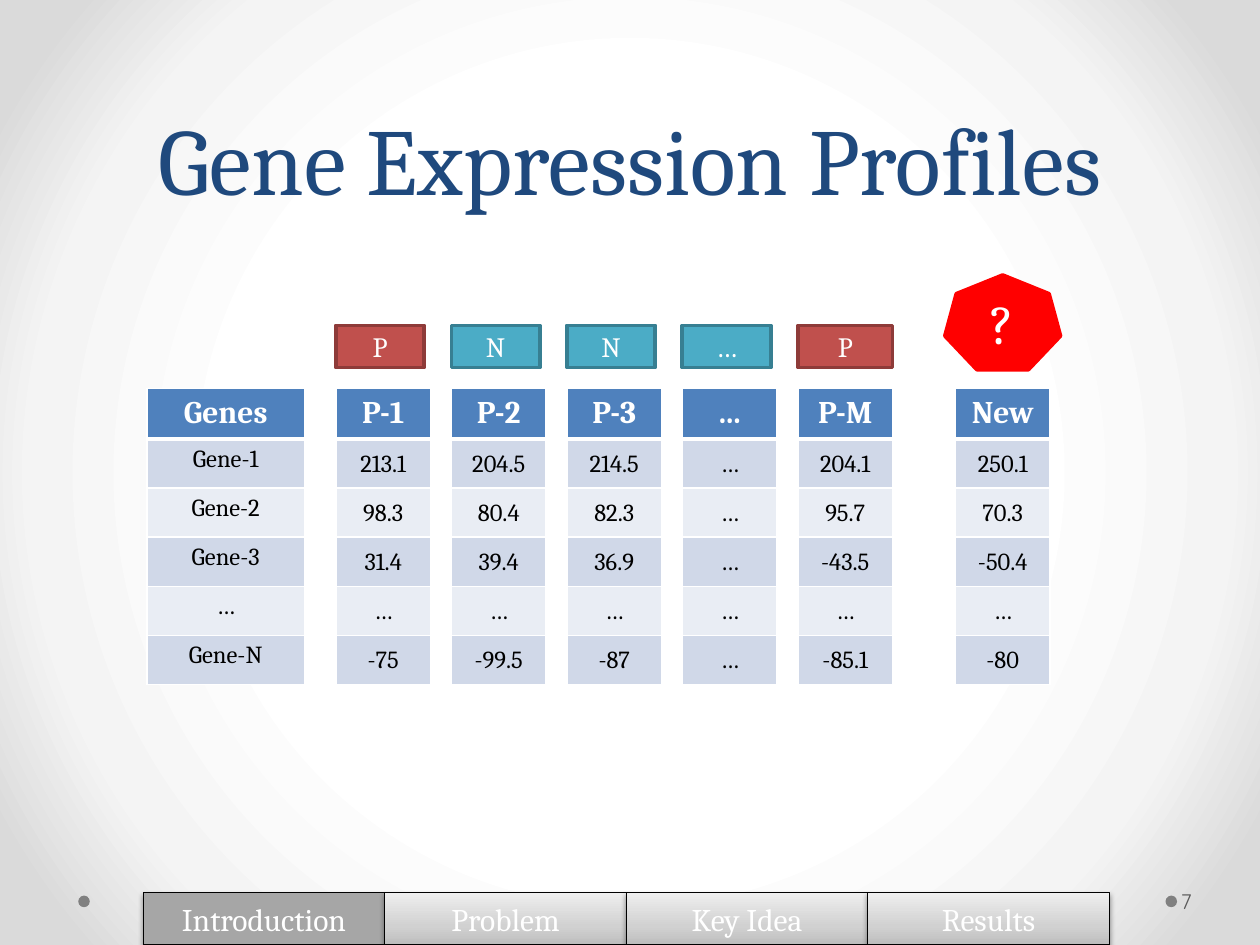
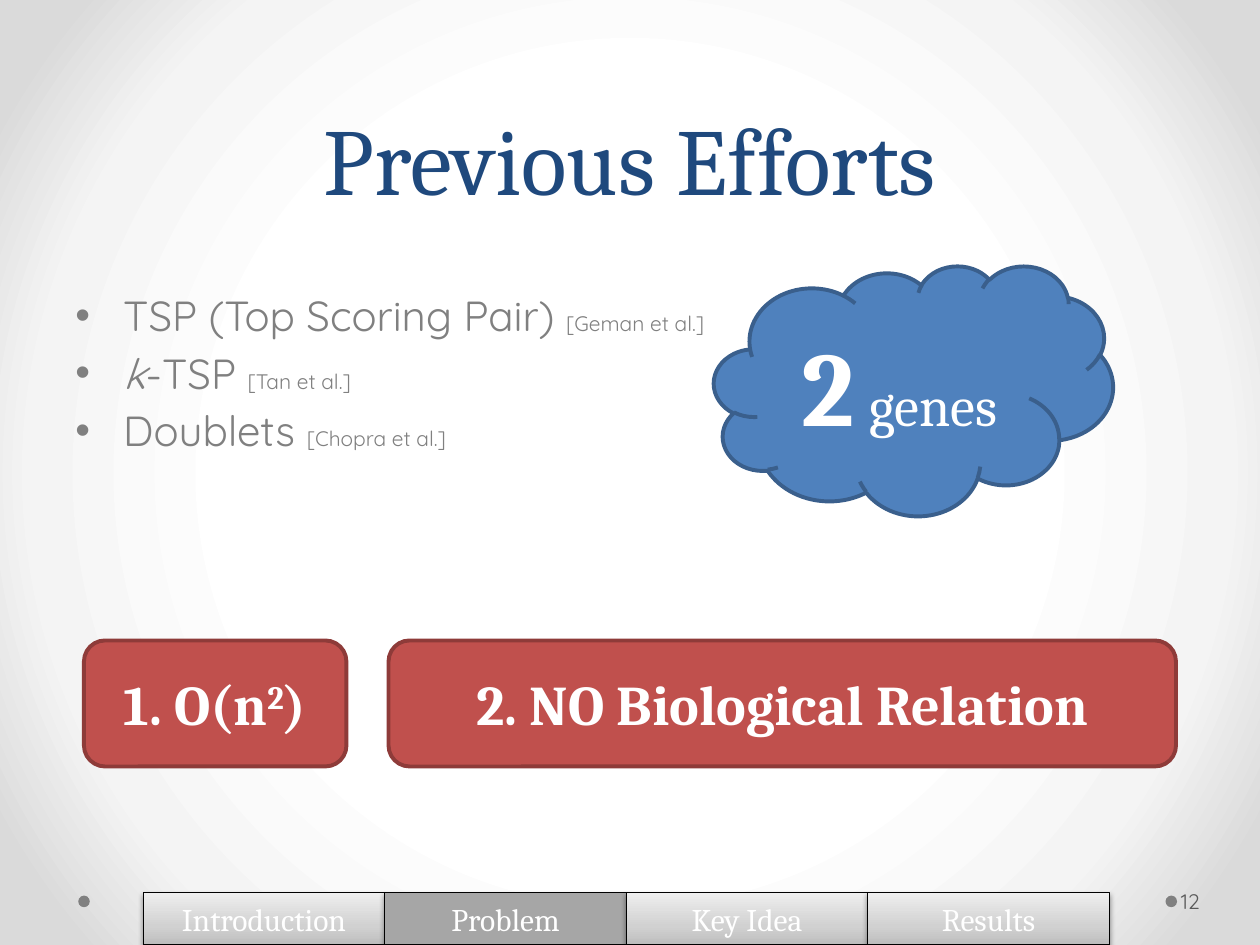
from lxml import etree
from pptx import Presentation
from pptx import util as u
from pptx.dml.color import RGBColor
from pptx.enum import shapes, text
from pptx.oxml import ns

SERIF, SANS = "Cambria", "Quicksand"
WHITE, BLACK, NAVY, GREY = "FFFFFF", "000000", "1F497D", "808080"
BLUE, DARK_BLUE = "4F81BD", "3A5F8C"
RED, DARK_RED = "C0504D", "8E3B39"
TEAL, DARK_TEAL = "4BACC6", "377F92"
BAND_COLOURS = ("E9EDF4", "D0D8E8")
BACKGROUND_STOPS = ((50, WHITE), (76, "F4F4F4"), (92, "DADADA"))
TAB_STOPS = ((0, "BDBDBD"), (35, "D1D1D1"), (100, "EEEEEE"))
SECTIONS = ("Introduction", "Problem", "Key Idea", "Results")
LABEL_COLOURS = {"P": (RED, DARK_RED), "N": (TEAL, DARK_TEAL), "…": (TEAL, DARK_TEAL)}
SHAPE, ALIGN, ANCHOR = shapes.MSO_SHAPE, text.PP_ALIGN, text.MSO_ANCHOR

GENES = ("Genes", "Gene-1", "Gene-2", "Gene-3", "…", "Gene-N")
# Class label, then the column of expression values
PATIENTS = (
    ("P", ("P-1", "213.1", "98.3", "31.4", "…", "-75")),
    ("N", ("P-2", "204.5", "80.4", "39.4", "…", "-99.5")),
    ("N", ("P-3", "214.5", "82.3", "36.9", "…", "-87")),
    ("…", ("…",) * 6),
    ("P", ("P-M", "204.1", "95.7", "-43.5", "…", "-85.1")),
)
NEW_PATIENT = ("New", "250.1", "70.3", "-50.4", "…", "-80")


def grid(*cells):
    """Lengths on a grid of 120 columns by 90 rows, twelve to the inch."""
    return [u.Inches(cell / 12) for cell in cells]


def colour(value):
    return RGBColor.from_string(value)


def add_xml(parent, tag, **attributes):
    return etree.SubElement(parent, ns.qn(tag), attributes)


# Text
def style(font, size, fill, name=SERIF, bold=False, italic=False):
    font.size, font.name, font.bold, font.italic = u.Pt(size), name, bold, italic
    font.color.rgb = colour(fill)


def write(paragraph, parts, align=ALIGN.CENTER, **base):
    """Fill a paragraph from a string, or from (string, overrides) pairs."""
    paragraph.alignment = align
    for words, changes in [(parts, {})] if isinstance(parts, str) else parts:
        run = paragraph.add_run()
        run.text = words
        changes = dict(changes)
        baseline = changes.pop("baseline", None)
        style(run.font, **{**base, **changes})
        if baseline:
            run._r.get_or_add_rPr().set("baseline", str(baseline * 1000))


def add_text_box(slide, place, anchor=ANCHOR.TOP):
    frame = slide.shapes.add_textbox(*grid(*place)).text_frame
    frame.word_wrap = True
    frame.vertical_anchor = anchor
    return frame


def add_title(slide, words):
    frame = add_text_box(slide, (6, 0, 108, 21), ANCHOR.BOTTOM)
    write(frame.paragraphs[0], words, size=54, fill=NAVY)
    frame.paragraphs[0].line_spacing = u.Pt(58)


def add_bullets(slide, place, items):
    frame = add_text_box(slide, place)
    for index, item in enumerate(items):
        paragraph = frame.add_paragraph() if index else frame.paragraphs[0]
        properties = paragraph._p.get_or_add_pPr()
        properties.set("marL", str(u.Inches(0.38)))
        properties.set("indent", str(-u.Inches(0.38)))
        add_xml(properties, "a:buFont", typeface="Arial")
        add_xml(properties, "a:buChar", char="•")
        if index:
            paragraph.space_before = u.Pt(4)
        write(paragraph, item, ALIGN.LEFT, size=24, fill=GREY, name=SANS)


# Shapes
def add_shape(slide, kind, place, fill, line=None, parts="", size=16, bold=False, width=2.25):
    shape = slide.shapes.add_shape(kind, *grid(*place))
    shape.shadow.inherit = False
    shape.fill.solid()
    shape.fill.fore_color.rgb = colour(fill)
    if line:
        shape.line.color.rgb = colour(line)
        shape.line.width = u.Pt(width)
    else:
        shape.line.fill.background()
    if parts:
        shape.text_frame.vertical_anchor = ANCHOR.MIDDLE
        write(shape.text_frame.paragraphs[0], parts, size=size, fill=WHITE, bold=bold)
    return shape


def set_gradient(fill, properties, stops, angle=None):
    """Linear gradient at an angle, or circular from the middle without one."""
    fill.background()
    gradient = etree.Element(ns.qn("a:gradFill"), rotWithShape="1")
    stop_list = add_xml(gradient, "a:gsLst")
    for position, value in stops:
        stop = add_xml(stop_list, "a:gs", pos=str(position * 1000))
        add_xml(stop, "a:srgbClr", val=value)
    if angle is None:
        circle = add_xml(gradient, "a:path", path="circle")
        add_xml(circle, "a:fillToRect", **dict.fromkeys("ltrb", "50000"))
    else:
        add_xml(gradient, "a:lin", ang=str(angle * 60000), scaled="0")
    properties.replace(properties.find(ns.qn("a:noFill")), gradient)


def add_soft_shadow(shape):
    effects = shape._element.spPr.find(ns.qn("a:effectLst"))
    shadow = add_xml(effects, "a:outerShdw", blurRad=str(u.Pt(3.1)), dist=str(u.Pt(1.6)),
                     dir="5400000", rotWithShape="0")
    add_xml(add_xml(shadow, "a:srgbClr", val=BLACK), "a:alpha", val="38000")


# Frame shared by the slides
def add_navigation(slide, current):
    for index, section in enumerate(SECTIONS):
        tab = add_shape(slide, SHAPE.CHEVRON, (13.65 + 23 * index, 85, 23, 5),
                        "A6A6A6", BLACK, section, 18, width=0.75)
        tab.adjustments[0] = 0
        if section != current:
            set_gradient(tab.fill, tab._element.spPr, TAB_STOPS, 270)
        add_soft_shadow(tab)


def add_page_number(slide, number):
    frame = add_text_box(slide, (112.1, 83.4, 7.3, 4.8), ANCHOR.MIDDLE)
    frame.margin_left, frame.margin_right = u.Inches(0.03), u.Inches(0.05)
    write(frame.paragraphs[0], str(number), ALIGN.LEFT, size=12, fill="595959", name=SANS)


def add_slide(presentation, title, section, number):
    slide = presentation.slides.add_slide(presentation.slide_layouts[6])
    fill = slide.background.fill
    fill.background()
    set_gradient(fill, slide._element.find(".//" + ns.qn("p:bgPr")), BACKGROUND_STOPS)
    for left in (111, 7.45):
        add_shape(slide, SHAPE.OVAL, (left, 85.3, 1.1, 1.1), GREY)
    add_title(slide, title)
    add_navigation(slide, section)
    add_page_number(slide, number)
    return slide


# Tables of one column
def set_borders(cell, row):
    widths = {"L": 1, "R": 1, "T": 3 if row == 1 else 1, "B": 3 if row == 0 else 1}
    for side, width in widths.items():
        line = add_xml(cell._tc.get_or_add_tcPr(), "a:ln" + side, w=str(u.Pt(width)))
        add_xml(add_xml(line, "a:solidFill"), "a:srgbClr", val=WHITE)


def add_column_table(slide, left, width, values, centred=True):
    row_height = 4.68
    place = grid(left, 37, width, row_height * len(values))
    table = slide.shapes.add_table(len(values), 1, *place).table
    table.first_row = table.horz_banding = False
    for row, value in enumerate(values):
        header = row == 0
        table.rows[row].height = grid(row_height)[0]
        cell = table.cell(row, 0)
        set_borders(cell, row)
        cell.fill.solid()
        cell.fill.fore_color.rgb = colour(BLUE if header else BAND_COLOURS[row % 2])
        if centred and not header:
            cell.vertical_anchor = ANCHOR.MIDDLE
            cell.margin_left = cell.margin_right = cell.margin_top = u.Inches(0.01)
            cell.margin_bottom = 0
        write(cell.text_frame.paragraphs[0], value, size=18 if header else 14,
              fill=WHITE if header else BLACK, bold=header)


# Slides
def build_profiles(presentation):
    slide = add_slide(presentation, "Gene Expression Profiles", "Introduction", 7)
    add_column_table(slide, 14, 15, GENES, centred=False)
    for index, (label, values) in enumerate(PATIENTS):
        left = 32 + 11 * index
        add_column_table(slide, left, 9, values)
        label_width = 9 if values[0] == "P-M" else 8.4
        add_shape(slide, SHAPE.RECTANGLE, (left, 31, label_width, 4),
                  *LABEL_COLOURS[label], label)
    add_column_table(slide, 91, 9, NEW_PATIENT)
    add_shape(slide, SHAPE.HEPTAGON, (90, 26.2, 11, 9), "FF0000", "FF0000", "?", 32)


def build_efforts(presentation):
    slide = add_slide(presentation, "Previous Efforts", "Problem", 12)
    citation = {"size": 12}
    add_bullets(slide, (6, 27, 108, 53.4), (
        [("TSP (Top Scoring Pair) ", {}), ("[Geman et al.]", citation)],
        [("k", {"italic": True}), ("-TSP ", {}), ("[Tan et al.]", citation)],
        [("Doublets ", {}), ("[Chopra et al.]", citation)],
    ))
    drawbacks = (
        (8, 25, [("1. O(n", {}), ("2", {"baseline": 30}), (")", {})]),
        (37, 75, "2. NO Biological Relation"),
    )
    for left, width, parts in drawbacks:
        add_shape(slide, SHAPE.ROUNDED_RECTANGLE, (left, 61, width, 12),
                  RED, DARK_RED, parts, 32, bold=True)
    add_shape(slide, SHAPE.CLOUD, (68, 25.3, 38, 23.8), BLUE, DARK_BLUE,
              [("2", {"size": 60}), (" ", {"size": 40}), ("genes", {"bold": False})],
              32, bold=True)


def main():
    presentation = Presentation()
    presentation.slide_width, presentation.slide_height = grid(120, 90)
    build_profiles(presentation)
    build_efforts(presentation)
    presentation.save("out.pptx")


if __name__ == "__main__":
    main()
